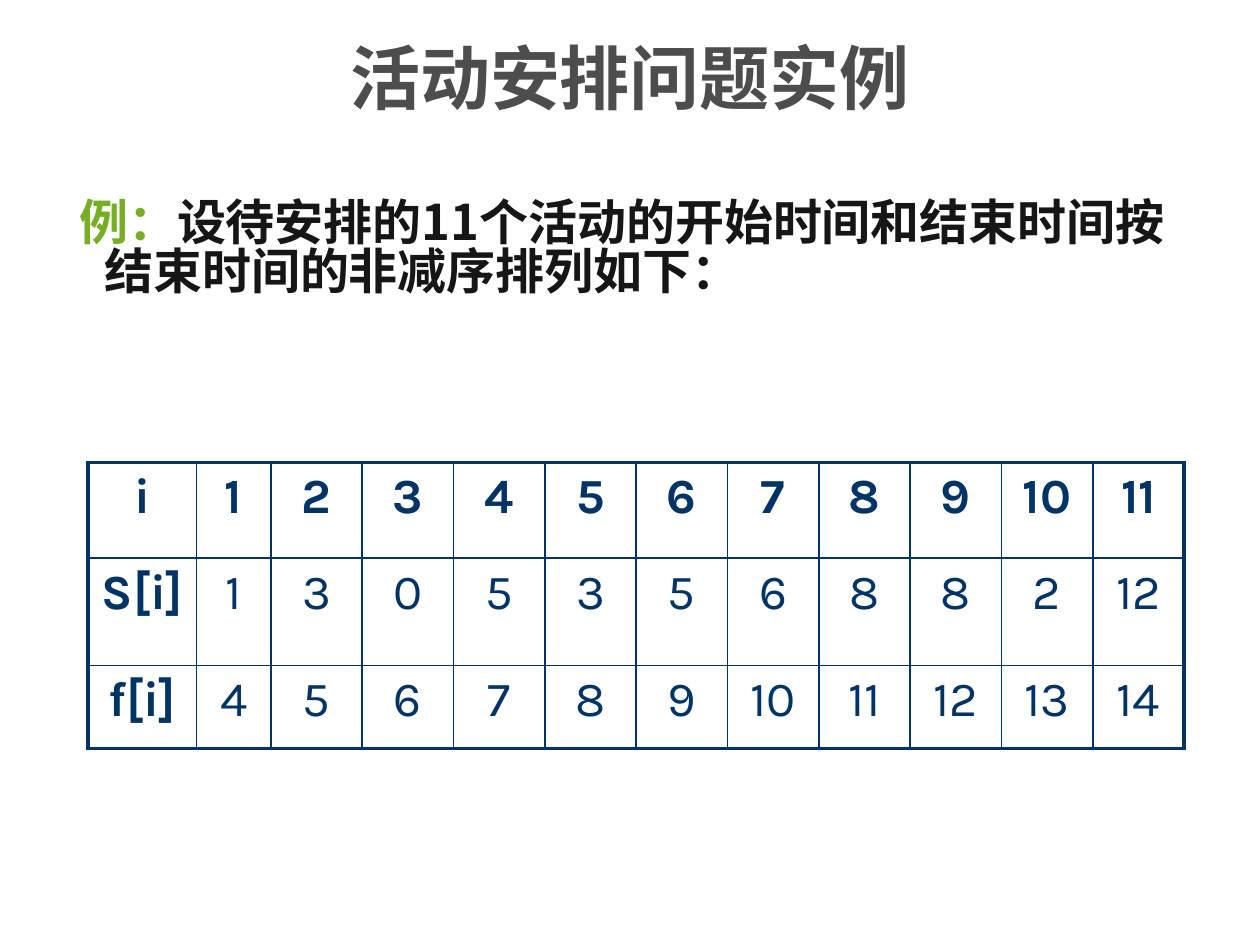
"""Build the activity selection example slide."""
import pptx
import pptx.dml.color
import pptx.enum.text
import pptx.oxml
import pptx.oxml.ns
import pptx.util
from pptx.util import Inches

CJK, LATIN = "Noto Sans CJK SC", "Karla"
GRAY, GREEN, BLACK, NAVY = "4D4D4D", "77AE26", "161616", "003366"
TITLE = "活动安排问题实例"
BODY = [
    ("例：", GREEN),
    ("设待安排的11个活动的开始时间和结束时间按结束时间的非减序排列如下：", BLACK),
]
ROWS = [
    ["i", *range(1, 12)],
    ["S[i]", 1, 3, 0, 5, 3, 5, 6, 8, 8, 2, 12],
    ["f[i]", *range(4, 15)],
]
COL_WIDTHS = [0.86, 0.59] + [0.725] * 10
ROW_HEIGHTS = [0.76, 0.85, 0.66]
OUTER, INNER = 2.25, 1


def color(value):
    return pptx.dml.color.RGBColor.from_string(value)


def add_text(p, text, size=28, font=LATIN, fill=NAVY, bold=True, align=None):
    r = p.add_run()
    r.text = text
    r.font.size, r.font.name, r.font.bold = pptx.util.Pt(size), font, bold
    r.font.color.rgb = color(fill)
    ea = pptx.oxml.parse_xml(
        f'<a:ea {pptx.oxml.ns.nsdecls("a")} typeface="{font}"/>')
    r.font._element.append(ea)
    if align:
        p.alignment = align


def add_box(s, left, top, width, height, spacing):
    sp = s.shapes.add_textbox(*map(Inches, (left, top, width, height)))
    tf = sp.text_frame
    tf.word_wrap = True
    p = tf.paragraphs[0]
    p.line_spacing = spacing
    return p


def set_borders(cell, **widths):
    tcPr = cell._tc.get_or_add_tcPr()
    for i, (side, width) in enumerate(widths.items()):
        tcPr.insert(i, pptx.oxml.parse_xml(
            f'<a:ln{side} {pptx.oxml.ns.nsdecls("a")} w="{pptx.util.Pt(width)}">'
            f'<a:solidFill><a:srgbClr val="{NAVY}"/></a:solidFill></a:ln{side}>'))


def add_grid(s, left, top):
    n_rows, n_cols = len(ROWS), len(COL_WIDTHS)
    size = sum(COL_WIDTHS), sum(ROW_HEIGHTS)
    table = s.shapes.add_table(
        n_rows, n_cols, *map(Inches, (left, top, *size))).table
    table.first_row = table.horz_banding = False
    for col, width in zip(table.columns, COL_WIDTHS):
        col.width = Inches(width)
    for row, height in zip(table.rows, ROW_HEIGHTS):
        row.height = Inches(height)
    for i, values in enumerate(ROWS):
        for j, value in enumerate(values):
            cell = table.cell(i, j)
            cell.fill.background()
            add_text(cell.text_frame.paragraphs[0], str(value),
                     bold=i == 0 or j == 0, align=CENTER)
            set_borders(cell,
                        L=OUTER if j == 0 else INNER,
                        R=OUTER if j == n_cols - 1 else INNER,
                        T=OUTER if i == 0 else INNER,
                        B=OUTER if i == n_rows - 1 else INNER)


CENTER = pptx.enum.text.PP_ALIGN.CENTER


def main():
    prs = pptx.Presentation()
    prs.slide_width, prs.slide_height = Inches(10), Inches(7.5)
    s = prs.slides.add_slide(prs.slide_layouts[6])
    p = add_box(s, 0.5, 0.3, 9, 1.25, 0.9)
    add_text(p, TITLE, size=40, font=CJK, fill=GRAY, align=CENTER)
    p = add_box(s, 0.35, 1.55, 9.29, 1.19, 0.83)
    pPr = p._p.get_or_add_pPr()
    pPr.set("marL", str(Inches(0.38)))
    pPr.set("indent", str(Inches(-0.2)))
    for text, fill in BODY:
        add_text(p, text, font=CJK, fill=fill)
    add_grid(s, 0.7, 3.67)
    prs.save("out.pptx")


if __name__ == "__main__":
    main()
